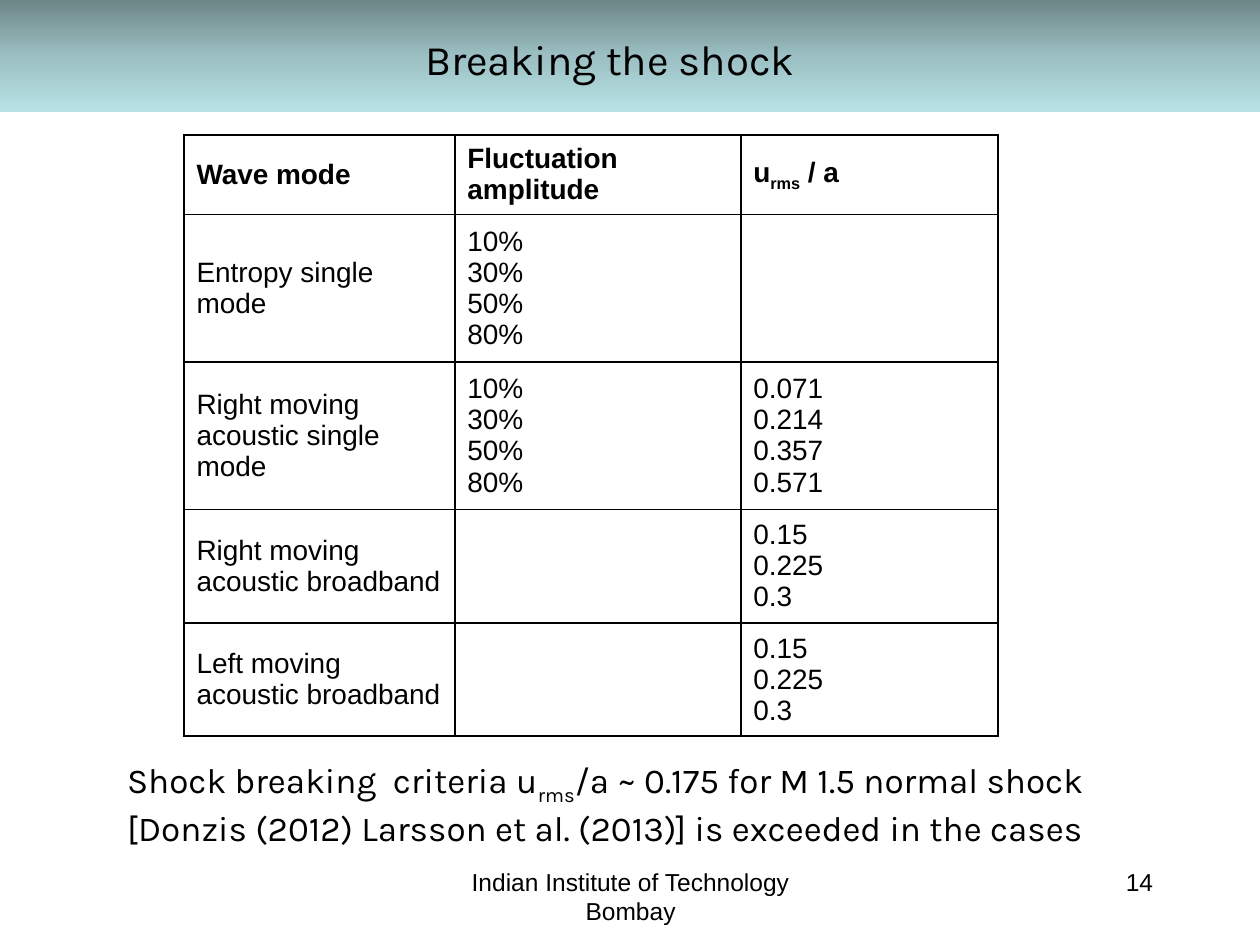
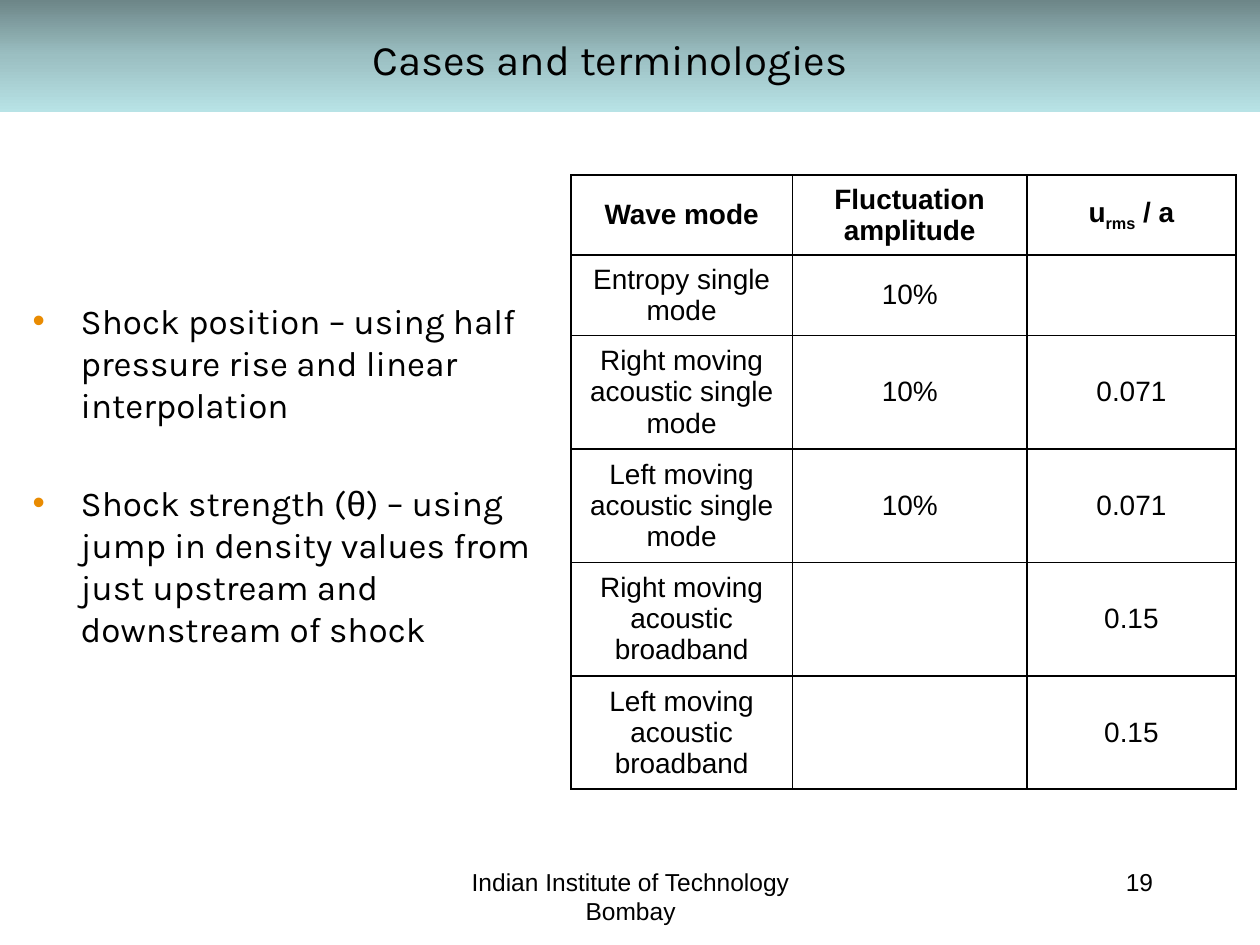
from copy import deepcopy

from lxml import etree
from pptx import Presentation
from pptx import util as u
from pptx.dml.color import RGBColor
from pptx.enum import shapes, text
from pptx.oxml import ns

BLACK = RGBColor(0x00, 0x00, 0x00)
WHITE = RGBColor(0xFF, 0xFF, 0xFF)
ORANGE = RGBColor(0xE9, 0x8B, 0x01)
BAND_STOPS = [(0, RGBColor(0x6D, 0x86, 0x88)),
              (0.5, RGBColor(0x9B, 0xBF, 0xC2)),
              (1, RGBColor(0xB8, 0xE3, 0xE6))]
HEADING_FONT, PLAIN_FONT = "Karla", "Arial"
LEFT, CENTER, RIGHT = text.PP_ALIGN.LEFT, text.PP_ALIGN.CENTER, text.PP_ALIGN.RIGHT
TOP, MIDDLE = text.MSO_ANCHOR.TOP, text.MSO_ANCHOR.MIDDLE

TITLE_LAYOUT, BODY_LAYOUT = 5, 1
HEADER = ["Wave mode", "Fluctuation amplitude", "u|rms| / a"]
AMPLITUDES = "10%\n30%\n50%\n80%"
BROADBAND = "0.15\n0.225\n0.3"

PAGES = [
    dict(layout=TITLE_LAYOUT, title="Breaking the shock", number="14",
         corner=(1.46, 1.07), columns=[2.15, 2.27, 2.04],
         rows=[0.63, 1.17, 1.17, 0.9, 0.9], align=LEFT,
         cases=[["Entropy single mode", AMPLITUDES, ""],
                ["Right moving acoustic single mode", AMPLITUDES,
                 "0.071\n0.214\n0.357\n0.571"],
                ["Right moving acoustic broadband", "", BROADBAND],
                ["Left moving acoustic broadband", "", BROADBAND]]),
    dict(layout=BODY_LAYOUT, title="Cases and terminologies", number="19",
         corner=(4.53, 1.39), columns=[1.76, 1.86, 1.66],
         rows=[0.59, 0.64] + [0.84] * 4, align=CENTER,
         cases=[["Entropy single mode", "10%", ""],
                ["Right moving acoustic single mode", "10%", "0.071"],
                ["Left moving acoustic single mode", "10%", "0.071"],
                ["Right moving acoustic broadband", "", "0.15"],
                ["Left moving acoustic broadband", "", "0.15"]]),
]
CRITERION = ("Shock breaking  criteria u|rms|/a ~ 0.175 for M 1.5 normal shock\n"
             "[Donzis (2012) Larsson et al. (2013)] is exceeded in the cases")
DEFINITIONS = [
    "Shock position – using half pressure rise and linear interpolation",
    "Shock strength (|θ|) – using jump in density values from just upstream "
    "and downstream of shock",
]


def write(frame, *paragraphs, size, font=PLAIN_FONT, bold=False, align=LEFT,
          anchor=TOP, gap=0, bullet=None):
    """Fill a text frame; bars set off subscripts and Greek letters."""
    frame.word_wrap = True
    frame.vertical_anchor = anchor
    for index, content in enumerate(paragraphs):
        paragraph = frame.add_paragraph() if index else frame.paragraphs[0]
        paragraph.alignment = align
        paragraph.space_before = u.Pt(gap if index else 0)
        if bullet:
            props = paragraph._p.get_or_add_pPr()
            props.set("marL", str(u.Inches(0.38)))
            props.set("indent", str(-u.Inches(0.38)))
            colour = etree.SubElement(props, ns.qn("a:buClr"))
            etree.SubElement(colour, ns.qn("a:srgbClr"), val=str(bullet))
            etree.SubElement(props, ns.qn("a:buFont"), typeface=PLAIN_FONT)
            etree.SubElement(props, ns.qn("a:buChar"), char="•")
        for line_index, line in enumerate(content.split("\n")):
            if line_index:
                paragraph.add_line_break()
            for piece in line.split("|"):
                run = paragraph.add_run()
                run.text = piece
                run.font.name = PLAIN_FONT if piece == "θ" else font
                run.font.size = u.Pt(size)
                run.font.bold = bold
                run.font.color.rgb = BLACK
                if piece == "rms":
                    run.font._element.set("baseline", "-25000")


def place(shape, left, top, width, height):
    shape.left, shape.top = u.Inches(left), u.Inches(top)
    shape.width, shape.height = u.Inches(width), u.Inches(height)
    return shape


deck = Presentation()
deck.slide_width, deck.slide_height = u.Inches(10), u.Inches(7.5)

for page in PAGES:
    slide = deck.slides.add_slide(deck.slide_layouts[page["layout"]])

    # Title band, behind everything else
    band = slide.shapes.add_shape(shapes.MSO_SHAPE.RECTANGLE, 0, 0,
                                  deck.slide_width, u.Inches(0.89))
    slide.shapes._spTree.insert(2, band._element)
    band.shadow.inherit = False
    band.line.fill.background()
    band.fill.gradient()
    band.fill.gradient_angle = 270
    stop_list = band._element.spPr.find(".//" + ns.qn("a:gsLst"))
    stop_list.append(deepcopy(stop_list[0]))
    for stop, (position, colour) in zip(band.fill.gradient_stops, BAND_STOPS):
        stop.position, stop.color.rgb = position, colour

    title = place(slide.shapes.title, 0.59, 0.09, 8.5, 0.75)
    write(title.text_frame, page["title"], size=24, font=HEADING_FONT,
          align=CENTER, anchor=MIDDLE)

    # Footer
    for label, left, width, align in [
            (page["number"], 7.17, 2.08, RIGHT),
            ("Indian Institute of Technology Bombay", 3.42, 3.17, CENTER)]:
        footer = place(slide.shapes.add_textbox(0, 0, 0, 0), left, 6.83, width, 0.5)
        write(footer.text_frame, label, size=14, align=align)

    # Wave cases
    cases = [HEADER] + page["cases"]
    frame = slide.shapes.add_table(len(cases), len(HEADER), 0, 0, 0, 0)
    place(frame, *page["corner"], sum(page["columns"]), sum(page["rows"]))
    table = frame.table
    table.first_row = table.horz_banding = False
    for column, width in zip(table.columns, page["columns"]):
        column.width = u.Inches(width)
    for row_index, (values, height) in enumerate(zip(cases, page["rows"])):
        table.rows[row_index].height = u.Inches(height)
        for column_index, value in enumerate(values):
            cell = table.cell(row_index, column_index)
            cell.fill.solid()
            cell.fill.fore_color.rgb = WHITE
            cell.vertical_anchor = MIDDLE
            if value:
                write(cell.text_frame, value, size=16, bold=row_index == 0,
                      align=page["align"])
            props = cell._tc.get_or_add_tcPr()
            for order, side in enumerate(["lnL", "lnR", "lnT", "lnB"]):
                border = etree.Element(ns.qn("a:" + side), w=str(u.Pt(1)))
                solid = etree.SubElement(border, ns.qn("a:solidFill"))
                etree.SubElement(solid, ns.qn("a:srgbClr"), val=str(BLACK))
                props.insert(order, border)

    # Commentary beside or below the table
    if page["layout"] == BODY_LAYOUT:
        definitions = place(slide.placeholders[1], 0.16, 2.33, 4.37, 3.23)
        write(definitions.text_frame, *DEFINITIONS, size=20, font=HEADING_FONT,
              gap=32, bullet=ORANGE)
    else:
        criterion = place(slide.shapes.add_textbox(0, 0, 0, 0), 0.91, 5.97, 7.95, 0.77)
        write(criterion.text_frame, CRITERION, size=20, font=HEADING_FONT)

deck.save("out.pptx")
